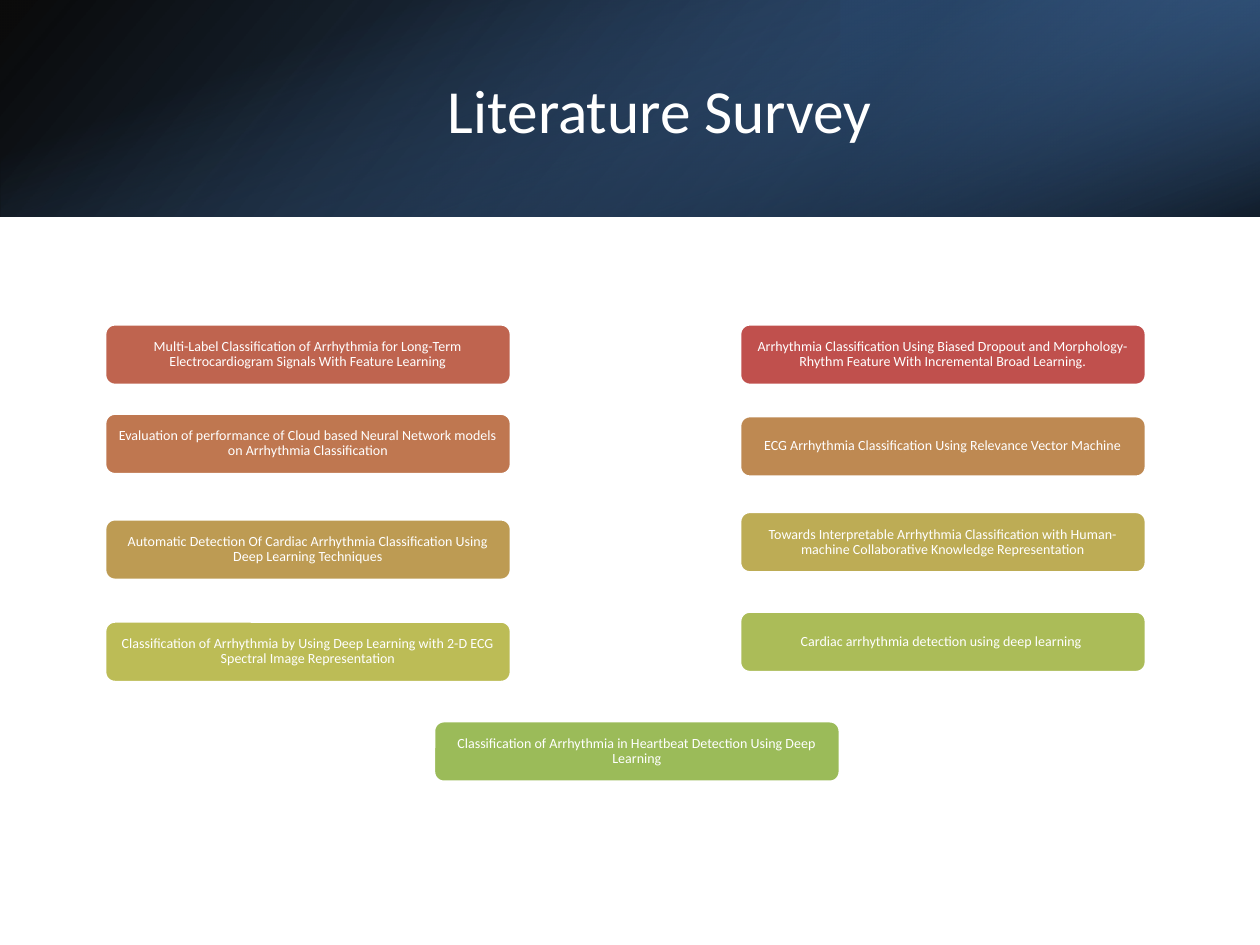
from lxml.etree import SubElement
from pptx import Presentation
from pptx.dml.color import RGBColor
from pptx.enum.shapes import MSO_SHAPE
from pptx.enum.text import MSO_ANCHOR, PP_ALIGN
from pptx.oxml.ns import qn
from pptx.util import Cm, Pt


def paint(color_format, hex_color):
    color_format.rgb = RGBColor.from_string(hex_color)


def write(text_frame, text, size):
    text_frame.text = text
    text_frame.word_wrap = True
    text_frame.vertical_anchor = MSO_ANCHOR.MIDDLE
    paragraph = text_frame.paragraphs[0]
    paragraph.alignment = PP_ALIGN.CENTER
    font = paragraph.runs[0].font
    font.name = "Calibri"
    font.size = Pt(size)
    paint(font.color, "FFFFFF")


presentation = Presentation()
presentation.slide_width = Cm(25.4)
presentation.slide_height = Cm(19.05)
slide = presentation.slides.add_slide(presentation.slide_layouts[5])
heading = slide.shapes.title

BANNER = 4.37
bands = [
    (0, 0, 25.4, BANNER, 0, True, 140,
     [(0, "000000", 96), (1, "376092", 100)]),
    (16.94, 0, 8.46, BANNER, 180, True, 320,
     [(0.19, "254061", 68), (1, "4F81BD", 79)]),
    (10.52, -10.52, BANNER, 25.4, 90, False, 340,
     [(0.23, "4F81BD", 0), (0.99, "000000", 74)]),
]
for left, top, width, height, rotation, flipped, angle, stops in bands:
    band = slide.shapes.add_shape(
        MSO_SHAPE.RECTANGLE, Cm(left), Cm(top), Cm(width), Cm(height))
    band.shadow.inherit = False
    band.line.fill.background()
    band.rotation = rotation
    if flipped:
        band._element.spPr.find(qn("a:xfrm")).set("flipH", "1")
    band.fill.gradient()
    band.fill.gradient_angle = 360 - angle
    for stop, (position, color, opacity) in zip(band.fill.gradient_stops, stops):
        stop.position = position
        paint(stop.color, color)
    for shade, (_, _, opacity) in zip(band._element.spPr.iter(qn("a:srgbClr")), stops):
        SubElement(shade, qn("a:alpha")).set("val", str(opacity * 1000))

slide.shapes._spTree.append(heading._element)
heading.left, heading.top = Cm(2.84), Cm(0.97)
heading.width, heading.height = Cm(20.93), Cm(2.44)
write(heading.text_frame, "Literature Survey", 35)

LEFT, MIDDLE, RIGHT = 2.11, 8.74, 14.91
papers = [
    (RIGHT, 6.53, "C0504D", "Arrhythmia Classification Using Biased Dropout and Morphology-Rhythm Feature With Incremental Broad Learning."),
    (LEFT, 6.53, "BF644F", "Multi-Label Classification of Arrhythmia for Long-Term Electrocardiogram Signals With Feature Learning"),
    (LEFT, 8.33, "BF7750", "Evaluation of performance of Cloud based Neural Network models on Arrhythmia Classification"),
    (RIGHT, 8.38, "BE8952", "ECG Arrhythmia Classification Using Relevance Vector Machine"),
    (LEFT, 10.46, "BD9B53", "Automatic Detection Of Cardiac Arrhythmia Classification Using Deep Learning Techniques"),
    (RIGHT, 10.31, "BDAC55", "Towards Interpretable Arrhythmia Classification with Human-machine Collaborative Knowledge Representation"),
    (LEFT, 12.52, "BCBC56", "Classification of Arrhythmia by Using Deep Learning with 2-D ECG Spectral Image Representation"),
    (RIGHT, 12.32, "ABBC58", "Cardiac arrhythmia detection using deep learning "),
    (MIDDLE, 14.53, "9BBB59", "Classification of Arrhythmia in Heartbeat Detection Using Deep Learning"),
]
for left, top, color, paper_title in papers:
    paper = slide.shapes.add_shape(
        MSO_SHAPE.ROUNDED_RECTANGLE, Cm(left), Cm(top), Cm(8.2), Cm(1.24))
    paper.shadow.inherit = False
    paper.fill.solid()
    paint(paper.fill.fore_color, color)
    paint(paper.line.color, "FFFFFF")
    paper.line.width = Pt(2)
    frame = paper.text_frame
    frame.margin_left = frame.margin_right = Cm(0.08)
    frame.margin_top = frame.margin_bottom = Cm(0.05)
    write(frame, paper_title, 8)
    frame.paragraphs[0].line_spacing = 0.9

presentation.save("out.pptx")
